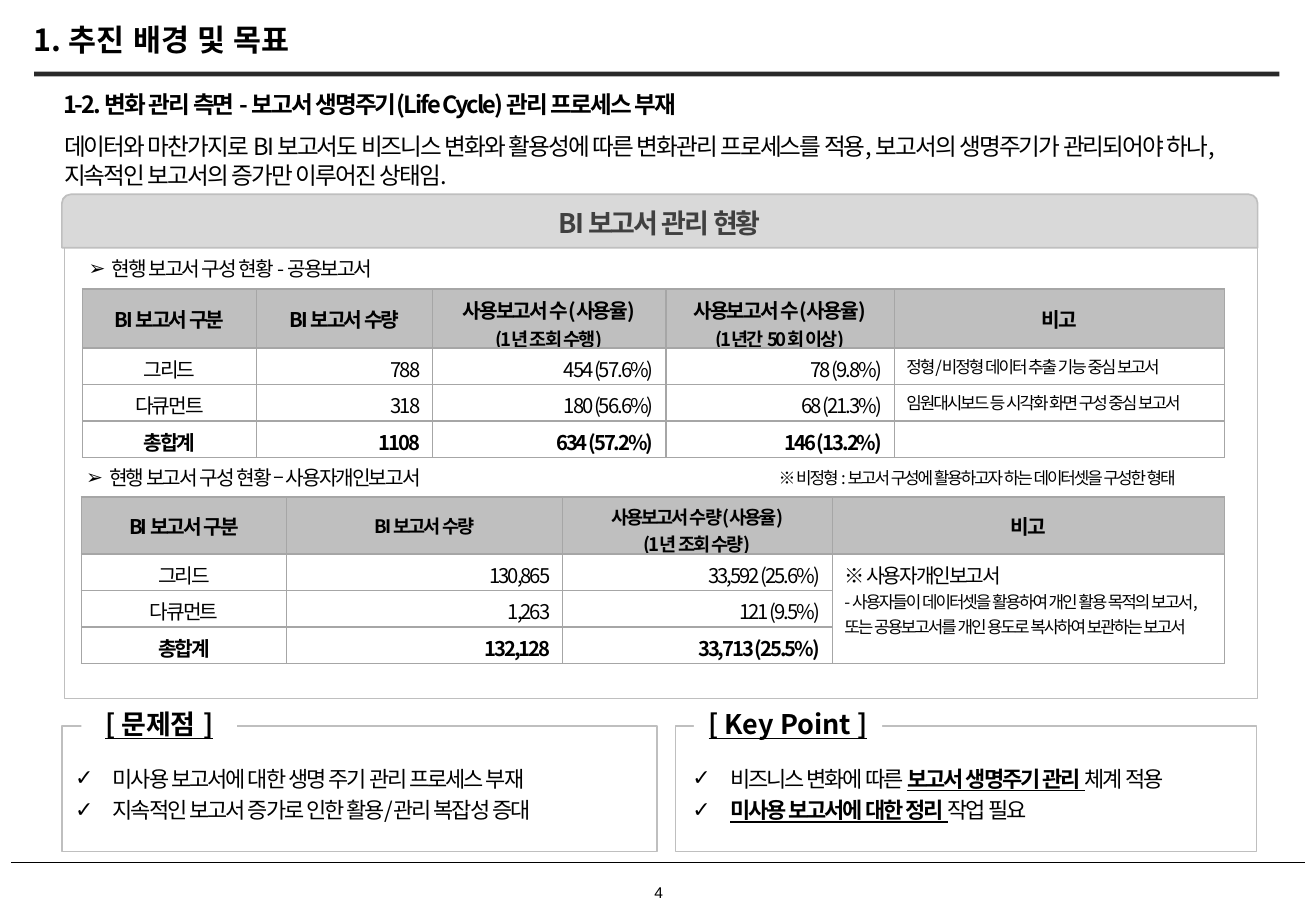
import pptx
import pptx.util
import pptx.dml.color
import pptx.enum.shapes
import pptx.enum.text
import pptx.oxml

Inches, Pt = pptx.util.Inches, pptx.util.Pt
RGBColor = pptx.dml.color.RGBColor
SHAPE = pptx.enum.shapes.MSO_SHAPE
ALIGN = pptx.enum.text.PP_ALIGN
MIDDLE = pptx.enum.text.MSO_ANCHOR.MIDDLE
NS = 'xmlns:a="http://schemas.openxmlformats.org/drawingml/2006/main"'

FONT = "Noto Sans CJK KR"
BLACK = RGBColor(0, 0, 0)
WHITE = RGBColor(255, 255, 255)
RULE = RGBColor(0x29, 0x29, 0x29)
BANNER_TEXT = RGBColor(0x40, 0x40, 0x40)
BANNER = RGBColor(0xD9, 0xD9, 0xD9)
GRAY = RGBColor(0xBF, 0xBF, 0xBF)
CELL_LINE = RGBColor(0xA6, 0xA6, 0xA6)


def add_para(frame, runs, size, align=ALIGN.LEFT, bullet=None, indent=0,
             tight=True, after=3, color=BLACK, font=FONT):
    """Fill the first empty paragraph, or add one; runs are (text, style, size?) tuples.

    Style letters: b for bold, u for underline. A newline is a line break.
    """
    para = frame.paragraphs[0]
    if para.runs:
        para = frame.add_paragraph()
    para.alignment = align
    para.space_after = Pt(after)
    if bullet:
        props = para._p.get_or_add_pPr()
        props.set("marL", str(Inches(indent)))
        props.set("indent", str(-Inches(indent)))
        props.append(pptx.oxml.parse_xml(f'<a:buFont {NS} typeface="Arial"/>'))
        props.append(pptx.oxml.parse_xml(f'<a:buChar {NS} char="{bullet}"/>'))
    for text, style, *own_size in runs:
        for number, line in enumerate(text.split("\n")):
            if number:
                para.add_line_break()
            if not line:
                continue
            span = para.add_run()
            span.text = line
            span.font.name = font
            span.font.size = Pt(own_size[0] if own_size else size)
            span.font.bold = "b" in style
            span.font.underline = "u" in style
            span.font.color.rgb = color
            props = span._r.get_or_add_rPr()
            props.set("lang", "ko-KR")
            props.append(pptx.oxml.parse_xml(f'<a:ea {NS} typeface="{font}"/>'))
            if tight:
                props.set("spc", "-120")
    if not runs:
        # An empty cell keeps its row height only with a small end mark
        para._p.append(pptx.oxml.parse_xml(f'<a:endParaRPr {NS} sz="{size * 100}"/>'))
    return para


def add_box(place, fill=None, line=None, kind=SHAPE.RECTANGLE):
    """Add a text box, or a filled shape when a fill is given."""
    place = [Inches(length) for length in place]
    if fill is None:
        box = page.shapes.add_textbox(*place)
    else:
        box = page.shapes.add_shape(kind, *place)
        box.shadow.inherit = False
        box.fill.solid()
        box.fill.fore_color.rgb = fill
        if line is None:
            box.line.fill.background()
        else:
            box.line.color.rgb = line
            box.line.width = Pt(1)
    box.text_frame.word_wrap = True
    return box


deck = pptx.Presentation()
deck.slide_width, deck.slide_height = Inches(10.83), Inches(7.5)
page = deck.slides.add_slide(deck.slide_layouts[6])

# Page frame
add_box((0.28, 0.59, 10.25, 0.04), RULE)
footer = page.shapes.add_connector(pptx.enum.shapes.MSO_CONNECTOR.STRAIGHT,
                                   Inches(0.09), Inches(7.1), Inches(10.74), Inches(7.1))
footer.line.color.rgb = BLACK
footer.line.width = Pt(1)
footer._element.spPr.append(pptx.oxml.parse_xml(f"<a:effectLst {NS}/>"))
for place, text, style, size, align, font in [
    ((5.34, 7.28, 0.16, 0.16), "4", "", 9.2, ALIGN.CENTER, "Arial"),
    ((0.28, 0.21, 2.34, 0.27), "1. 추진 배경 및 목표", "b", 18, ALIGN.LEFT, FONT),
]:
    frame = add_box(place).text_frame
    frame.margin_left = frame.margin_right = frame.margin_top = frame.margin_bottom = 0
    frame.word_wrap = False
    frame.vertical_anchor = MIDDLE
    para = add_para(frame, [(text, style)], size, align, tight=False, after=0, font=font)
    para.line_spacing = 0.9

# Introduction
add_para(add_box((0.42, 0.69, 9.92, 0.34)).text_frame,
         [("1-2. 변화 관리 측면 - 보고서 생명주기(Life Cycle) 관리 프로세스 부재", "b")], 14)
add_para(add_box((0.43, 1.04, 10.07, 0.57)).text_frame,
         [("데이터와 마찬가지로 BI 보고서도 비즈니스 변화와 활용성에 따른 변화관리 프로세스를 적용, "
           "보고서의 생명주기가 관리되어야 하나, 지속적인 보고서의 증가만 이루어진 상태임.", "")], 14)

# Status panel
add_box((0.53, 1.73, 9.82, 4.02), WHITE, GRAY)
banner = add_box((0.51, 1.6, 9.84, 0.44), BANNER, GRAY, SHAPE.ROUND_2_SAME_RECTANGLE)
banner.text_frame.vertical_anchor = MIDDLE
add_para(banner.text_frame, [("BI 보고서 관리 현황", "b")], 16, ALIGN.CENTER, color=BANNER_TEXT)

for place, text in [((0.63, 2.06, 4.89, 0.3), "현행 보고서 구성 현황 - 공용보고서"),
                    ((0.61, 3.78, 4.89, 0.3), "현행 보고서 구성 현황 – 사용자개인보고서")]:
    add_para(add_box(place).text_frame, [(text, "")], 12, bullet="➢", indent=0.19)
add_para(add_box((6.31, 3.8, 3.8, 0.27), WHITE).text_frame,
         [("※ 비정형 : 보고서 구성에 활용하고자 하는 데이터셋을 구성한 형태", "")], 10)

# Report tables: each header is a list of runs, the last column holds remarks
shared_headers = [
    [("BI 보고서 구분", "b")], [("BI 보고서 수량", "b")],
    [("사용보고서 수(사용율)\n", "b"), ("(1년 조회 수행)", "b", 11)],
    [("사용보고서 수(사용율)\n", "b"), ("(1년간 50회 이상)", "b", 11)],
    [("비고", "b")],
]
shared_rows = [
    ["그리드", "788", "454 (57.6%)", "78 (9.8%)", [("정형/비정형 데이터 추출 기능 중심 보고서", "", 10)]],
    ["다큐먼트", "318", "180 (56.6%)", "68 (21.3%)", [("임원대시보드 등 시각화 화면 구성 중심 보고서", "", 10)]],
    ["총합계", "1108", "634 (57.2%)", "146 (13.2%)", []],
]
personal_headers = [
    [("BI 보고서 구분", "b")], [("BI 보고서 수량", "b", 11)],
    [("사용보고서 수량(사용율)\n(1년 조회 수량)", "b", 11)], [("비고", "b")],
]
personal_rows = [
    ["그리드", "130,865", "33,592 (25.6%)",
     [("※ 사용자개인보고서\n", ""),
      ("- 사용자들이 데이터셋을 활용하여 개인 활용 목적의 보고서, "
       "또는 공용보고서를 개인 용도로 복사하여 보관하는 보고서", "", 10)]],
    ["다큐먼트", "1,263", "121 (9.5%)", []],
    ["총합계", "132,128", "33,713 (25.5%)", []],
]
for left, top, widths, header_height, headers, rows, merge_remarks in [
    (0.68, 2.38, [1.43, 1.45, 1.92, 1.88, 2.72], 0.48, shared_headers, shared_rows, False),
    (0.67, 4.09, [1.69, 2.27, 2.22, 3.23], 0.47, personal_headers, personal_rows, True),
]:
    table = page.shapes.add_table(len(rows) + 1, len(widths), Inches(left), Inches(top),
                                  Inches(sum(widths)), Inches(header_height + 0.9)).table
    for column, width in zip(table.columns, widths):
        column.width = Inches(width)
    for number, row in enumerate(table.rows):
        row.height = Inches(0.3 if number else header_height)
    last = len(widths) - 1
    if merge_remarks:
        table.cell(1, last).merge(table.cell(len(rows), last))
    for r, values in enumerate([headers] + rows):
        for c, value in enumerate(values):
            cell = table.cell(r, c)
            cell.fill.solid()
            cell.fill.fore_color.rgb = WHITE if r else GRAY
            if r == 0:
                cell.vertical_anchor = MIDDLE
            if isinstance(value, str):
                value = [(value, "b" if r == len(rows) else "")]
            if r == 0 or c == 0:
                align = ALIGN.CENTER
            else:
                align = ALIGN.LEFT if c == last else ALIGN.RIGHT
            add_para(cell.text_frame, value, 12, align)
            props = cell._tc.get_or_add_tcPr()
            for place, side in enumerate(("lnL", "lnR", "lnT", "lnB")):
                props.insert(place, pptx.oxml.parse_xml(
                    f'<a:{side} {NS} w="12700"><a:solidFill><a:srgbClr val="{CELL_LINE}"/>'
                    f"</a:solidFill></a:{side}>"))

# Problems and key points
for frame_place, label_place, label, list_place, points in [
    ((0.51, 5.98, 4.9, 1.03), (0.67, 5.77, 1.28, 0.37), "[ 문제점 ]", (0.52, 6.25, 4.89, 0.58),
     [[("미사용 보고서에 대한 생명 주기 관리 프로세스 부재", "")],
      [("지속적인 보고서 증가로 인한 활용/관리 복잡성 증대", "")]]),
    ((5.56, 5.98, 4.78, 1.03), (5.71, 5.77, 1.55, 0.37), "[ Key Point ]", (5.6, 6.25, 4.74, 0.58),
     [[("비즈니스 변화에 따른 ", ""), ("보고서 생명주기 관리 ", "bu"), ("체계 적용", "")],
      [("미사용 보고서에 대한 정리 ", "bu"), ("작업 필요", "")]]),
]:
    add_box(frame_place, WHITE, GRAY)
    heading = add_box(label_place, WHITE).text_frame
    heading.vertical_anchor = MIDDLE
    add_para(heading, [(label, "bu")], 16, ALIGN.CENTER, tight=False)
    point_list = add_box(list_place).text_frame
    for point in points:
        add_para(point_list, point, 13, bullet="✓", indent=0.31)

deck.save("out.pptx")
